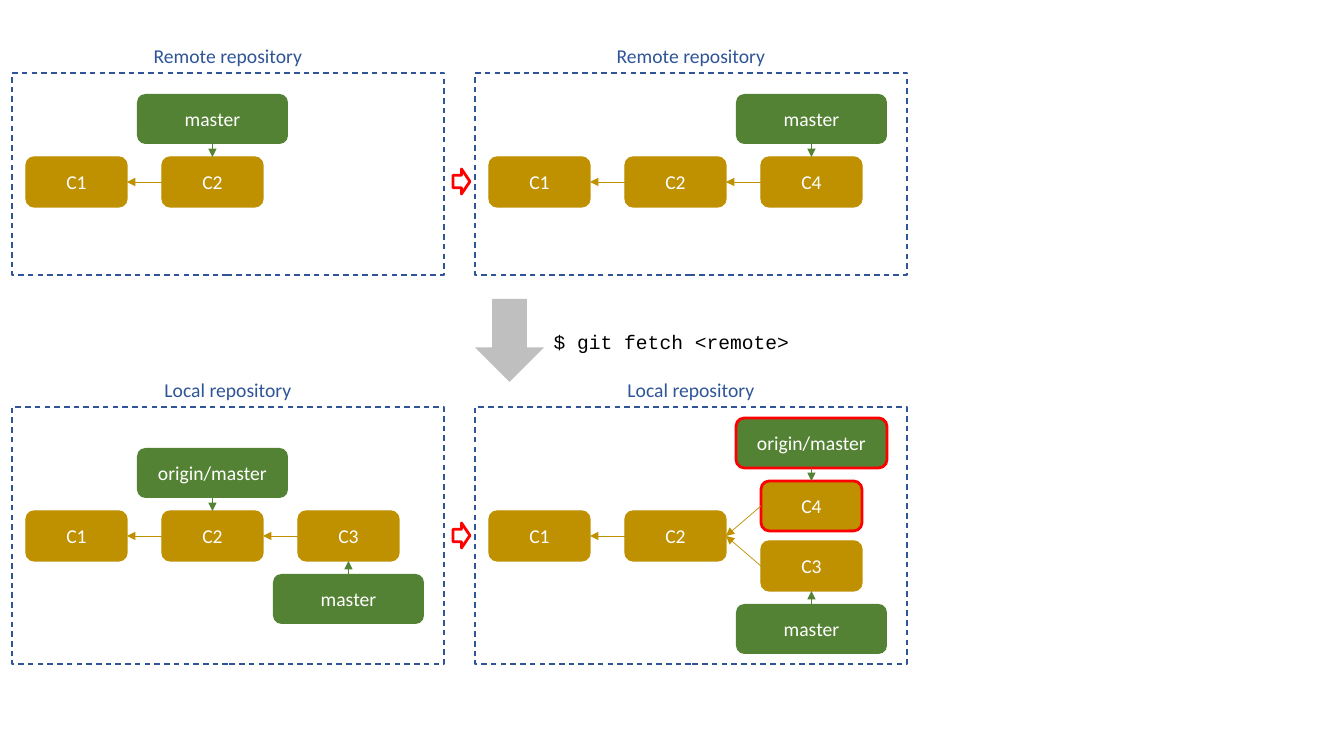
from dataclasses import dataclass
from typing import Any, Optional

from lxml.etree import SubElement
from pptx import Presentation
from pptx.dml.color import RGBColor
from pptx.enum.dml import MSO_LINE_DASH_STYLE as Dash
from pptx.enum.shapes import MSO_CONNECTOR as Link, MSO_SHAPE as Preset
from pptx.enum.text import MSO_ANCHOR as Anchor, MSO_AUTO_SIZE as Fit, PP_ALIGN as Align
from pptx.oxml.ns import qn
from pptx.util import Emu, Pt

EMU_PER_PIXEL = 914400 / 100.8
GREEN, GOLD, BLUE, RED, GREY = "548235", "BF9000", "2F5597", "FF0000", "BFBFBF"
WHITE, BLACK = "FFFFFF", "000000"
PANEL_WIDTH, TITLE_HEIGHT = 432, 34
BEFORE_X, AFTER_X = 12, 475
COMMIT_WIDTH, BRANCH_WIDTH, NODE_HEIGHT = 101, 151, 50
COMMIT_INSET, COMMIT_PITCH, BRANCH_OFFSET = 14, 136, 63
REMOTE_ROW, LOCAL_ROW, FETCHED_ROW, OWN_ROW = 157, 511, 481, 541
TOP, LEFT, BOTTOM, RIGHT = range(4)


@dataclass(frozen=True)
class Commit:
    label: str
    column: int
    row: int
    parent: Optional[str] = None
    updated: bool = False


@dataclass(frozen=True)
class Branch:
    label: str
    commit: str
    below: bool = False
    updated: bool = False


@dataclass(frozen=True)
class Repository:
    title: str
    title_width: int
    x: int
    y: int
    height: int
    commits: tuple[Commit, ...]
    branches: tuple[Branch, ...]


def remote(x: int, commits: tuple[Commit, ...], head: str) -> Repository:
    return Repository("Remote repository", 170, x, 73, 202, commits, (Branch("master", head),))


def local(x: int, commits: tuple[Commit, ...], branches: tuple[Branch, ...]) -> Repository:
    return Repository("Local repository", 148, x, 407, 257, commits, branches)


def history(row: int) -> tuple[Commit, ...]:
    return Commit("C1", 0, row), Commit("C2", 1, row, "C1")


REPOSITORIES = (
    remote(BEFORE_X, history(REMOTE_ROW), "C2"),
    remote(AFTER_X, history(REMOTE_ROW) + (Commit("C4", 2, REMOTE_ROW, "C2"),), "C4"),
    local(
        BEFORE_X,
        history(LOCAL_ROW) + (Commit("C3", 2, LOCAL_ROW, "C2"),),
        (Branch("origin/master", "C2"), Branch("master", "C3", below=True)),
    ),
    local(
        AFTER_X,
        history(LOCAL_ROW)
        + (Commit("C4", 2, FETCHED_ROW, "C2", updated=True), Commit("C3", 2, OWN_ROW, "C2")),
        (Branch("origin/master", "C4", updated=True), Branch("master", "C3", below=True)),
    ),
)


def px(pixels: int) -> Emu:
    return Emu(round(pixels * EMU_PER_PIXEL))


def rgb(value: str) -> RGBColor:
    return RGBColor.from_string(value)


def assign(target: Any, values: dict[str, Any]) -> None:
    for name, value in values.items():
        setattr(target, name, value)


def write(frame: Any, words: str, color: str, font: str = "Calibri") -> None:
    paragraph = frame.paragraphs[0]
    paragraph.alignment = Align.CENTER
    run = paragraph.add_run()
    run.text = words
    assign(run.font, {"name": font, "size": Pt(14)})
    run.font.color.rgb = rgb(color)


def outline(line: Any, color: str, width: float) -> None:
    line.color.rgb = rgb(color)
    line.width = Pt(width)


def draw_shape(preset: Any, box: tuple[int, int, int, int], fill: Optional[str] = None,
               border: Optional[str] = None, width: float = 1) -> Any:
    shape = slide.shapes.add_shape(preset, *map(px, box))
    shape.shadow.inherit = False
    if fill:
        shape.fill.solid()
        shape.fill.fore_color.rgb = rgb(fill)
    else:
        shape.fill.background()
    if border:
        outline(shape.line, border, width)
    else:
        shape.line.fill.background()
    return shape


def draw_caption(words: str, box: tuple[int, int, int, int], color: str,
                 font: str = "Calibri") -> None:
    frame = slide.shapes.add_textbox(*map(px, box)).text_frame
    assign(frame, {"word_wrap": False, "auto_size": Fit.SHAPE_TO_FIT_TEXT})
    write(frame, words, color, font)


def draw_node(label: str, x: int, y: int, width: int, fill: str,
              border: Optional[str], updated: bool) -> Any:
    node = draw_shape(Preset.ROUNDED_RECTANGLE, (x, y, width, NODE_HEIGHT), fill,
                      RED if updated else border, 2 if updated else 1)
    node.text_frame.vertical_anchor = Anchor.MIDDLE
    write(node.text_frame, label, WHITE)
    return node


def draw_link(start: Any, start_side: int, end: Any, end_side: int, color: str) -> None:
    link = slide.shapes.add_connector(Link.STRAIGHT, 0, 0, 0, 0)
    link.begin_connect(start, start_side)
    link.end_connect(end, end_side)
    outline(link.line, color, 0.5)
    SubElement(link.line._get_or_add_ln(), qn("a:tailEnd"), type="triangle")
    SubElement(link._element.spPr, qn("a:effectLst"))


def draw_repository(repo: Repository) -> None:
    frame = draw_shape(Preset.RECTANGLE, (repo.x, repo.y, PANEL_WIDTH, repo.height), border=BLUE)
    frame.line.dash_style = Dash.DASH
    title_x = repo.x + (PANEL_WIDTH - repo.title_width) // 2
    draw_caption(repo.title, (title_x, repo.y - TITLE_HEIGHT, repo.title_width, TITLE_HEIGHT), BLUE)

    commits = {commit.label: commit for commit in repo.commits}
    commit_x = {c.label: repo.x + COMMIT_INSET + c.column * COMMIT_PITCH for c in repo.commits}
    nodes = {c.label: draw_node(c.label, commit_x[c.label], c.row, COMMIT_WIDTH, GOLD, GOLD, c.updated)
             for c in repo.commits}
    for commit in repo.commits:
        if commit.parent:
            draw_link(nodes[commit.label], LEFT, nodes[commit.parent], RIGHT, GOLD)

    for branch in repo.branches:
        x = commit_x[branch.commit] - (BRANCH_WIDTH - COMMIT_WIDTH) // 2
        y = commits[branch.commit].row + (BRANCH_OFFSET if branch.below else -BRANCH_OFFSET)
        node = draw_node(branch.label, x, y, BRANCH_WIDTH, GREEN, None, branch.updated)
        sides = (TOP, BOTTOM) if branch.below else (BOTTOM, TOP)
        draw_link(node, sides[0], nodes[branch.commit], sides[1], GREEN)


deck = Presentation()
assign(deck, {"slide_width": px(1344), "slide_height": px(756)})
slide = deck.slides.add_slide(deck.slide_layouts[6])

for repository in REPOSITORIES:
    draw_repository(repository)

for row in (REMOTE_ROW, LOCAL_ROW):
    draw_shape(Preset.RIGHT_ARROW, (453, row + 12, 17, 25), border=RED, width=2)

fetch_arrow = draw_shape(Preset.RIGHT_ARROW, (468, 306, 83, 69), GREY)
fetch_arrow.rotation = 90
draw_caption("$ git fetch <remote> ", (543, 325, 269, TITLE_HEIGHT), BLACK, "Courier New")

deck.save("out.pptx")
